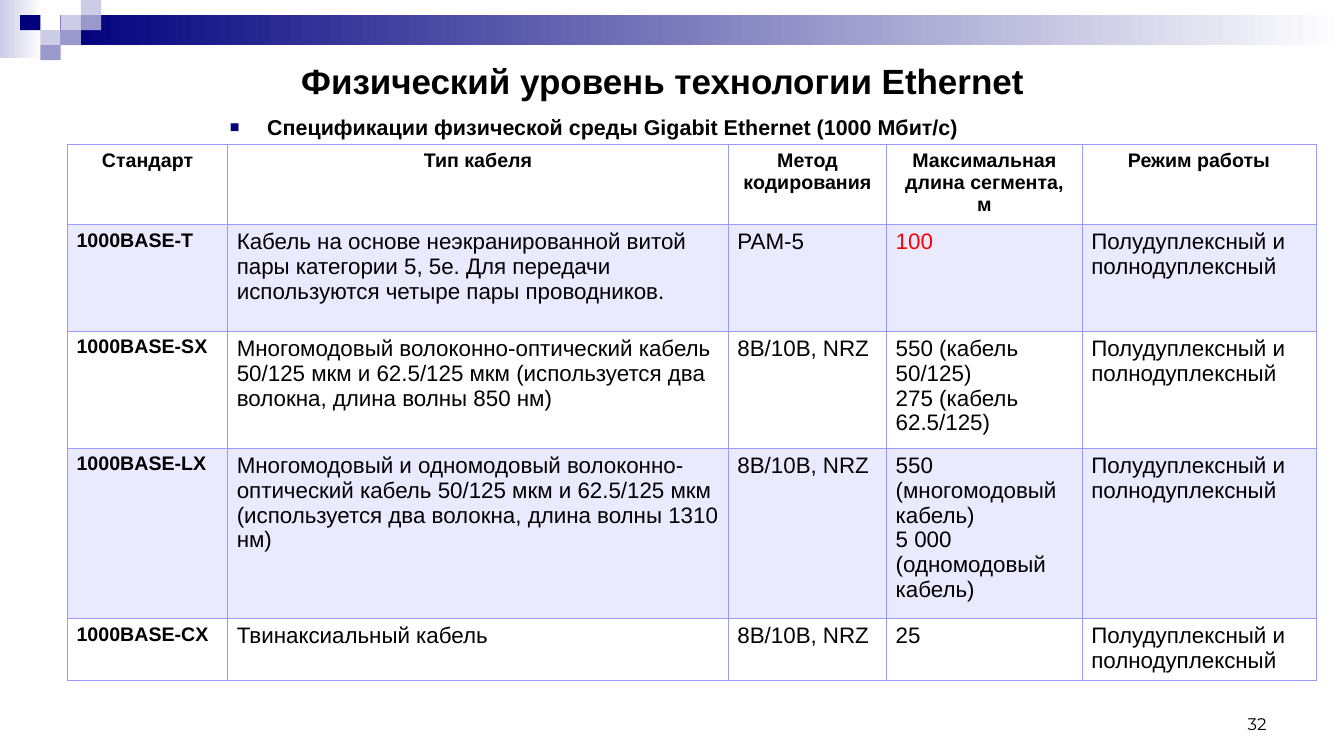
from lxml.etree import SubElement
from pptx import Presentation
from pptx.dml.color import RGBColor
from pptx.enum.shapes import MSO_SHAPE as SHAPE
from pptx.enum.text import MSO_ANCHOR as ANCHOR, MSO_AUTO_SIZE as AUTO, PP_ALIGN as ALIGN
from pptx.oxml.ns import qn
from pptx.util import Cm, Pt

NAVY, LILAC, PALE, BORDER = "00007D", "9999CC", "CCCCE6", "9999FF"
WHITE, BLACK, RED = "FFFFFF", "000000", "FF0000"
SQUARE_W, SQUARE_H = 0.51, 0.38
SQUARES = [(3, 1, PALE), (4, 0, PALE), (4, 1, LILAC), (2, 2, PALE),
           (1, 1, NAVY), (3, 2, LILAC), (2, 3, LILAC)]
COLUMNS = [4.04, 12.62, 3.99, 4.93, 5.89]
ROWS = [2.01, 2.69, 2.95, 4.29, 1.57]
DUPLEX = "Полудуплексный и полнодуплексный"
CODING = "8B/10B, NRZ"
STANDARDS = [
    ["Стандарт", "Тип кабеля", "Метод кодирования", "Максимальная длина сегмента, м",
     "Режим работы"],
    ["1000BASE-T", "Кабель на основе неэкранированной витой пары категории 5, 5e. "
     "Для передачи используются четыре пары проводников.", "PAM-5", "100", DUPLEX],
    ["1000BASE-SX", "Многомодовый волоконно-оптический кабель 50/125 мкм и 62.5/125 мкм "
     "(используется два волокна, длина волны 850 нм)", CODING,
     "550 (кабель 50/125)\n275 (кабель 62.5/125)", DUPLEX],
    ["1000BASE-LX", "Многомодовый и одномодовый волоконно-оптический кабель 50/125 мкм и "
     "62.5/125 мкм (используется два волокна, длина волны 1310 нм)", CODING,
     "550 (многомодовый кабель)\n5 000 (одномодовый кабель)", DUPLEX],
    ["1000BASE-СX", "Твинаксиальный кабель", CODING, "25", DUPLEX],
]


def rgb(value):
    return RGBColor.from_string(value)


def write(tf, text, size=16, bold=False, color=BLACK, font="Arial", align=ALIGN.LEFT):
    tf.word_wrap = True
    tf.text = text
    for p in tf.paragraphs:
        p.alignment = align
        p.space_before = Pt(0)
        for r in p.runs:
            r.font.name, r.font.size, r.font.bold = font, Pt(size), bold
            r.font.color.rgb = rgb(color)


class SlideBuilder:
    """Draws the elements of one slide in a shared style."""

    def __init__(self, prs):
        self.slide = prs.slides.add_slide(prs.slide_layouts[1])
        self.shapes = self.slide.shapes

    def rect(self, x, y, w, h, color, fade_to=None):
        sp = self.shapes.add_shape(SHAPE.RECTANGLE, Cm(x), Cm(y), Cm(w), Cm(h))
        sp.shadow.inherit = False
        sp.line.fill.background()
        if fade_to:
            sp.fill.gradient()
            sp.fill.gradient_angle = 0
            for stop, value in zip(sp.fill.gradient_stops, (color, fade_to)):
                stop.color.rgb = rgb(value)
        else:
            sp.fill.solid()
            sp.fill.fore_color.rgb = rgb(color)

    def place(self, sp, x, y, w, h, text, anchor=ANCHOR.TOP, **style):
        sp.left, sp.top, sp.width, sp.height = Cm(x), Cm(y), Cm(w), Cm(h)
        tf = sp.text_frame
        tf.auto_size = AUTO.NONE
        tf.vertical_anchor = anchor
        write(tf, text, **style)

    def title(self, *box, **style):
        self.place(self.shapes.title, *box, anchor=ANCHOR.MIDDLE, **style)

    def bullet(self, *box, **style):
        body = self.slide.placeholders[1]
        self.place(body, *box, **style)
        for p in body.text_frame.paragraphs:
            pPr = p._p.get_or_add_pPr()
            pPr.set("marL", str(Cm(0.94)))
            pPr.set("indent", str(-Cm(0.94)))
            SubElement(SubElement(pPr, qn("a:buClr")), qn("a:srgbClr"), val=NAVY)
            SubElement(pPr, qn("a:buSzPct"), val="75000")
            SubElement(pPr, qn("a:buFont"), typeface="Arial")
            SubElement(pPr, qn("a:buChar"), char="■")

    def text(self, *box, **style):
        self.place(self.shapes.add_textbox(0, 0, 0, 0), *box, **style)

    def cell(self, cell, text, shaded, **style):
        cell.margin_left = cell.margin_right = Cm(0.23)
        cell.margin_top = cell.margin_bottom = Cm(0.13)
        write(cell.text_frame, text, **style)
        tcPr = cell._tc.get_or_add_tcPr()
        for side in ("a:lnL", "a:lnR", "a:lnT", "a:lnB"):
            ln = SubElement(tcPr, qn(side), w=str(Pt(0.45)))
            SubElement(SubElement(ln, qn("a:solidFill")), qn("a:srgbClr"), val=BORDER)
        cell.fill.solid()
        cell.fill.fore_color.rgb = rgb(BORDER if shaded else WHITE)
        if shaded:
            color = tcPr.find(qn("a:solidFill")).find(qn("a:srgbClr"))
            SubElement(color, qn("a:alpha"), val="20000")

    def table(self, x, y, widths, heights, rows):
        frame = self.shapes.add_table(len(heights), len(widths), Cm(x), Cm(y),
                                      Cm(sum(widths)), Cm(sum(heights)))
        table = frame.table
        table.first_row = table.horz_banding = False
        for column, width in zip(table.columns, widths):
            column.width = Cm(width)
        for i, (row, height) in enumerate(zip(rows, heights)):
            table.rows[i].height = Cm(height)
            for j, text in enumerate(row):
                heading = i == 0 or j == 0
                self.cell(table.cell(i, j), text, shaded=i % 2 == 1,
                          size=14 if heading else 16, bold=heading,
                          color=RED if text == "100" else BLACK,
                          align=ALIGN.CENTER if i == 0 else ALIGN.LEFT)


def main():
    prs = Presentation()
    prs.slide_width, prs.slide_height = Cm(33.88), Cm(19.05)
    s = SlideBuilder(prs)
    s.rect(0, 0, 1.07, 1.47, PALE, fade_to=WHITE)
    s.rect(1.52, 0.38, 32.34, 0.76, NAVY, fade_to=WHITE)
    for col, row, color in SQUARES:
        s.rect(col * SQUARE_W, row * SQUARE_H, SQUARE_W, SQUARE_H, color)
    s.title(7.34, 1.32, 20.4, 1.42, "Физический уровень технологии Ethernet",
            size=25, bold=True)
    s.bullet(5.54, 2.74, 23.9, 0.89,
             "Спецификации физической среды Gigabit Ethernet (1000 Мбит/с)",
             size=15.3, bold=True, align=ALIGN.JUSTIFY)
    s.table(1.7, 3.64, COLUMNS, ROWS, STANDARDS)
    s.text(24.28, 17.35, 7.9, 1.27, "32", anchor=ANCHOR.BOTTOM,
           size=12, font="Montserrat", align=ALIGN.RIGHT)
    prs.save("out.pptx")


if __name__ == "__main__":
    main()
